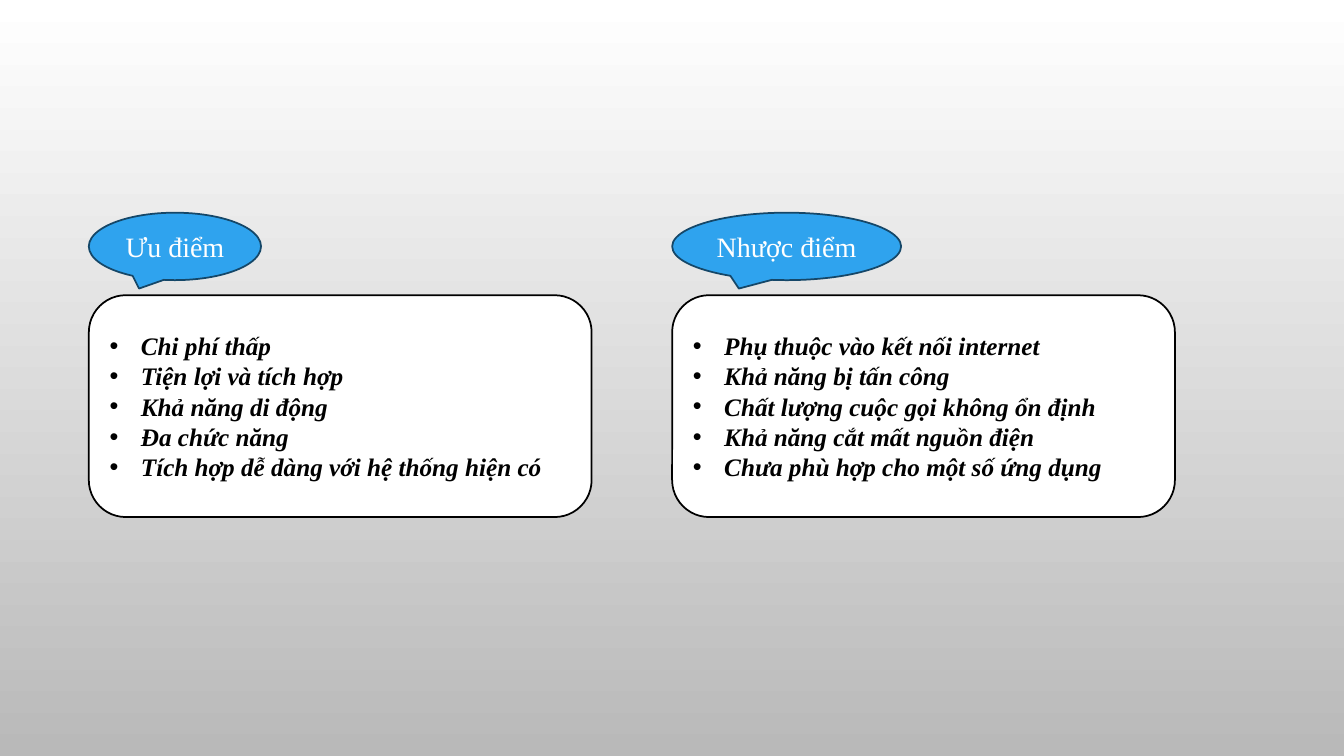
import dataclasses

import pptx
import pptx.dml.color
import pptx.enum.shapes
import pptx.enum.text
import pptx.oxml.ns
import pptx.util
from lxml import etree
from pptx.util import Cm


@dataclasses.dataclass(frozen=True)
class Theme:
    font: str = "Times New Roman"
    background_top: str = "FFFFFF"
    background_bottom: str = "B9B9B9"
    card_fill: str = "FFFFFF"
    card_ink: str = "000000"
    bubble_fill: str = "2FA3EE"
    bubble_line: str = "154768"
    bubble_text: str = "FFFFFF"
    heading_size: int = 20
    list_size: int = 18
    line_width: float = 1.25


THEME = Theme()
BUBBLE_TOP, BUBBLE_HEIGHT = Cm(5.36), Cm(1.7)
CARD_TOP, CARD_WIDTH, CARD_HEIGHT = Cm(7.44), Cm(12.67), Cm(5.59)
BULLET_INDENT = Cm(0.79)

COLUMNS = [
    (Cm(2.24), Cm(4.34), "Ưu điểm", [
        "Chi phí thấp",
        "Tiện lợi và tích hợp",
        "Khả năng di động",
        "Đa chức năng",
        "Tích hợp dễ dàng với hệ thống hiện có",
    ]),
    (Cm(16.94), Cm(5.77), "Nhược điểm", [
        "Phụ thuộc vào kết nối internet",
        "Khả năng bị tấn công",
        "Chất lượng cuộc gọi không ổn định",
        "Khả năng cắt mất nguồn điện",
        "Chưa phù hợp cho một số ứng dụng",
    ]),
]


def rgb(value):
    return pptx.dml.color.RGBColor.from_string(value)


def paint_background(slide):
    fill = slide.background.fill
    fill.gradient()
    fill.gradient_angle = 270
    colors = (THEME.background_top, THEME.background_bottom)
    for position, (stop, color) in enumerate(zip(fill.gradient_stops, colors)):
        stop.position = position
        stop.color.rgb = rgb(color)


def add_panel(slide, kind, left, top, width, height, fill, line):
    shape = slide.shapes.add_shape(kind, left, top, width, height)
    shape.shadow.inherit = False
    shape.fill.solid()
    shape.fill.fore_color.rgb = rgb(fill)
    shape.line.color.rgb = rgb(line)
    shape.line.width = pptx.util.Pt(THEME.line_width)
    shape.text_frame.word_wrap = True
    shape.text_frame.vertical_anchor = pptx.enum.text.MSO_ANCHOR.MIDDLE
    return shape


def add_run(paragraph, text, size, color, emphasis=False):
    run = paragraph.add_run()
    run.text = text
    run.font.name = THEME.font
    run.font.size = pptx.util.Pt(size)
    run.font.color.rgb = rgb(color)
    run.font.bold = run.font.italic = emphasis


def add_bullet(paragraph):
    properties = paragraph._p.get_or_add_pPr()
    properties.set("marL", str(BULLET_INDENT))
    properties.set("indent", str(-BULLET_INDENT))
    font = etree.SubElement(properties, pptx.oxml.ns.qn("a:buFont"))
    font.set("typeface", "Arial")
    bullet = etree.SubElement(properties, pptx.oxml.ns.qn("a:buChar"))
    bullet.set("char", "•")


def add_list_card(slide, left, items):
    card = add_panel(
        slide, pptx.enum.shapes.MSO_SHAPE.ROUNDED_RECTANGLE,
        left, CARD_TOP, CARD_WIDTH, CARD_HEIGHT, THEME.card_fill, THEME.card_ink,
    )
    frame = card.text_frame
    for index, item in enumerate(items):
        paragraph = frame.add_paragraph() if index else frame.paragraphs[0]
        paragraph.alignment = pptx.enum.text.PP_ALIGN.LEFT
        add_bullet(paragraph)
        add_run(paragraph, item, THEME.list_size, THEME.card_ink, emphasis=True)


def add_heading_bubble(slide, left, width, heading):
    bubble = add_panel(
        slide, pptx.enum.shapes.MSO_SHAPE.OVAL_CALLOUT,
        left, BUBBLE_TOP, width, BUBBLE_HEIGHT, THEME.bubble_fill, THEME.bubble_line,
    )
    paragraph = bubble.text_frame.paragraphs[0]
    paragraph.alignment = pptx.enum.text.PP_ALIGN.CENTER
    add_run(paragraph, heading, THEME.heading_size, THEME.bubble_text)


def main():
    presentation = pptx.Presentation()
    presentation.slide_width = Cm(33.87)
    presentation.slide_height = Cm(19.05)
    slide = presentation.slides.add_slide(presentation.slide_layouts[6])
    paint_background(slide)
    for left, bubble_width, heading, items in COLUMNS:
        add_list_card(slide, left, items)
        add_heading_bubble(slide, left, bubble_width, heading)
    presentation.save("out.pptx")


if __name__ == "__main__":
    main()
